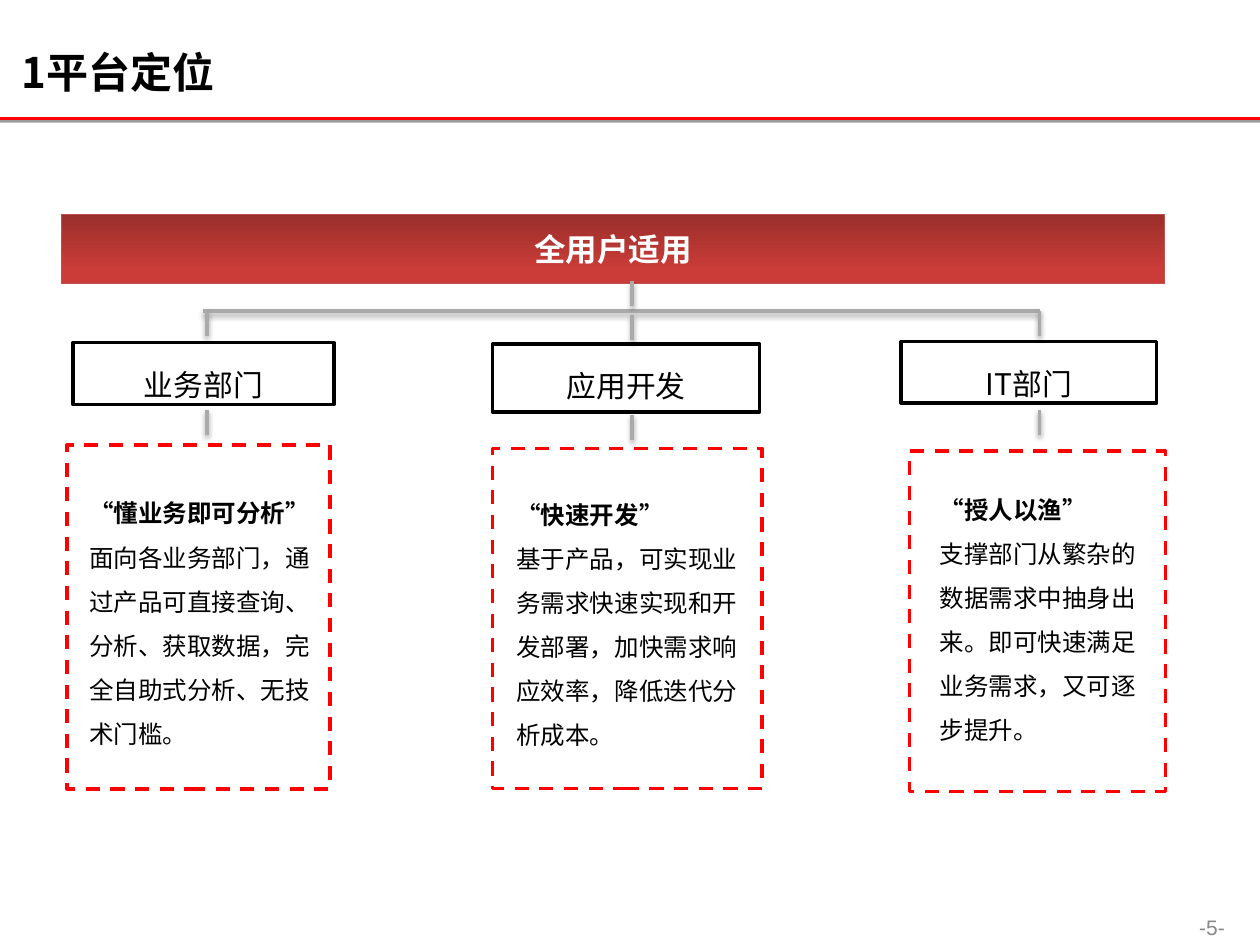
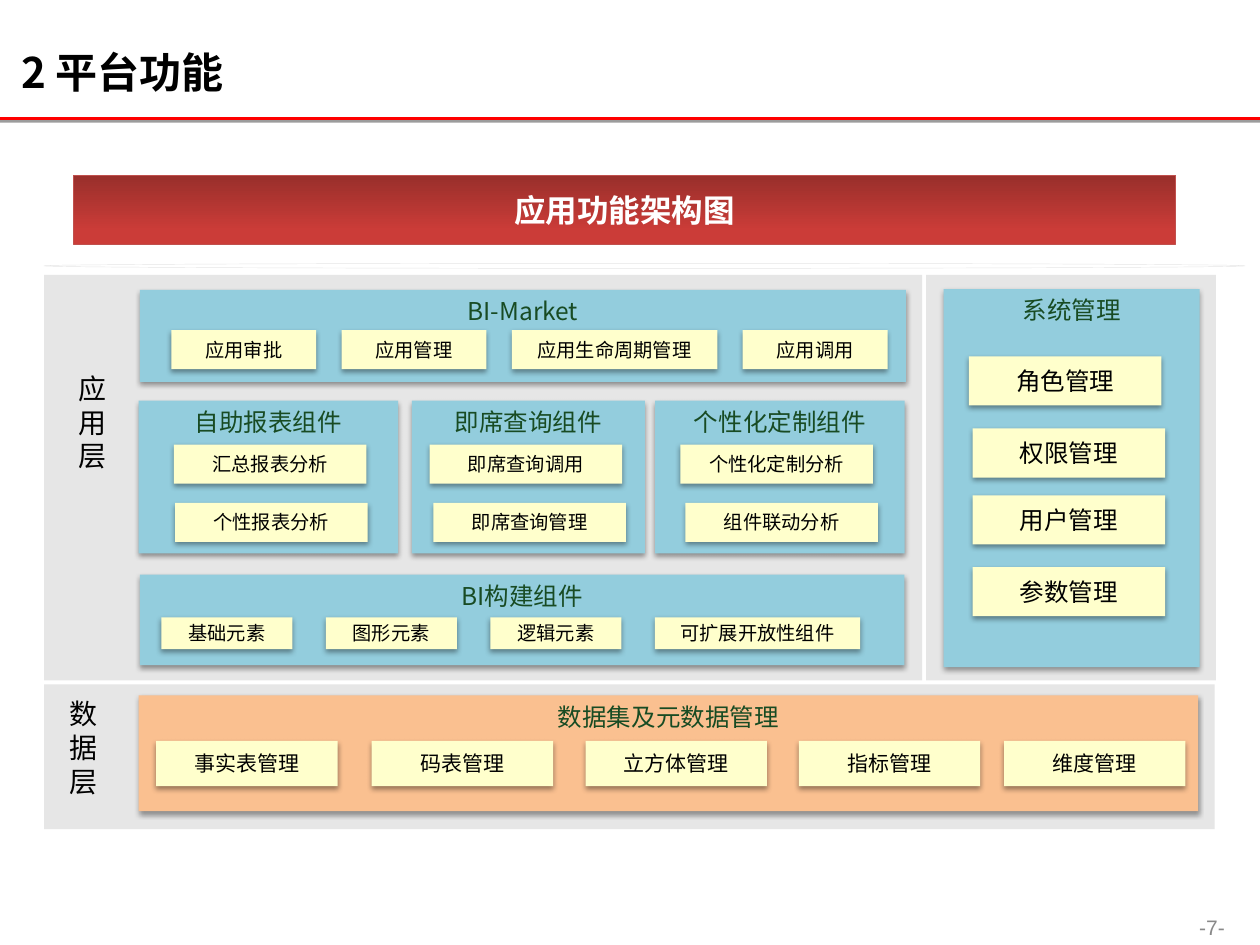
import pptx
import pptx.dml.color
import pptx.enum.dml
import pptx.enum.shapes
import pptx.enum.text
import pptx.oxml.ns
import pptx.util
from lxml import etree

Pt = pptx.util.Pt
qn = pptx.oxml.ns.qn
ALIGN = pptx.enum.text.PP_ALIGN
ANCHOR = pptx.enum.text.MSO_ANCHOR
PRESET = pptx.enum.shapes.MSO_SHAPE

RED, BLACK, WHITE, GREEN = "FF0000", "000000", "FFFFFF", "184B23"
GREY_LINE, GREY_TEXT, PANEL = "AAAAAA", "898989", "E6E6E6"
BLUE, ORANGE, CREAM = "93CDDD", "FAC090", "FFFFCC"
# Shadows: opacity in percent, blur, distance
BOX_SHADOW, LINK_SHADOW, RULE_SHADOW = (38, 3.1, 1.6), (35, 3.1, 1.8), (38, 0, 1.6)


def rgb(hex_value):
    return pptx.dml.color.RGBColor.from_string(hex_value)


class Deck:
    """Holds the shared style and the slide being drawn."""

    font = "Noto Sans CJK SC"

    def __init__(self):
        self.prs = pptx.Presentation()
        self.prs.slide_width, self.prs.slide_height = Pt(720), Pt(540)
        self.slide = None

    def new_slide(self, title, page):
        self.slide = self.prs.slides.add_slide(self.prs.slide_layouts[5])
        self.line(0, 67.7, 720, 67.7, RED, 1.5, RULE_SHADOW)
        self.text(f"-{page}-", (666.7, 519.1, 51.8, 20.9), 12, GREY_TEXT,
                  align=ALIGN.CENTER, anchor=ANCHOR.MIDDLE, font="Arial")
        heading = self.slide.shapes.title
        heading.left, heading.top, heading.width, heading.height = map(
            Pt, (5, 20.9, 686.9, 40.3))
        self.label(heading, title, 24, BLACK, True, ALIGN.LEFT, ANCHOR.MIDDLE)

    def label(self, shape, text, size, color, bold=False, align=ALIGN.CENTER,
              anchor=ANCHOR.TOP, spacing=None, font=None):
        frame = shape.text_frame
        frame.text = text
        frame.word_wrap = True
        frame.auto_size = pptx.enum.text.MSO_AUTO_SIZE.NONE
        frame.vertical_anchor = anchor
        for paragraph in frame.paragraphs:
            paragraph.alignment = align
            if spacing:
                paragraph.line_spacing = spacing
            for run in paragraph.runs:
                run.font.size, run.font.bold = Pt(size), bold
                run.font.color.rgb = rgb(color)
                run.font.name = font or self.font
                # East Asian typeface sits right after the Latin one
                east_asian = etree.Element(qn("a:ea"), typeface=font or self.font)
                run._r.get_or_add_rPr().find(qn("a:latin")).addnext(east_asian)

    def text(self, text, box, size, color, **style):
        shape = self.slide.shapes.add_textbox(*map(Pt, box))
        self.label(shape, text, size, color, **style)
        return shape

    def box(self, box, fill=None, line=None, width=2, shadow=None, dashed=False,
            preset=PRESET.RECTANGLE):
        shape = self.slide.shapes.add_shape(preset, *map(Pt, box))
        if fill:
            shape.fill.solid()
            shape.fill.fore_color.rgb = rgb(fill)
        else:
            shape.fill.background()
        if line:
            shape.line.color.rgb = rgb(line)
            shape.line.width = Pt(width)
        else:
            shape.line.fill.background()
        if dashed:
            shape.line.dash_style = pptx.enum.dml.MSO_LINE.DASH
        shape.shadow.inherit = False
        if shadow:
            self.cast(shape._element.spPr.find(qn("a:effectLst")), shadow)
        return shape

    def line(self, x1, y1, x2, y2, color=GREY_LINE, width=2.25, shadow=LINK_SHADOW):
        link = self.slide.shapes.add_connector(
            pptx.enum.shapes.MSO_CONNECTOR.STRAIGHT, *map(Pt, (x1, y1, x2, y2)))
        link.line.color.rgb = rgb(color)
        link.line.width = Pt(width)
        self.cast(etree.SubElement(link._element.spPr, qn("a:effectLst")), shadow)

    def cast(self, effects, shadow):
        opacity, blur, distance = shadow
        outer = etree.SubElement(
            effects, qn("a:outerShdw"), blurRad=str(Pt(blur)), dist=str(Pt(distance)),
            dir="5400000", rotWithShape="0")
        color = etree.SubElement(outer, qn("a:srgbClr"), val=BLACK)
        etree.SubElement(color, qn("a:alpha"), val=str(opacity * 1000))

    def banner(self, text, left, top):
        shape = self.box((left, top, 630, 39.6), RED, "C0504D", 0.75)
        shape.fill.gradient()
        shape.fill.gradient_angle = 270
        for stop, (place, color) in zip(shape.fill.gradient_stops,
                                        ((0, "992F2B"), (0.8, "CB3C38"))):
            stop.position, stop.color.rgb = place, rgb(color)
        self.label(shape, text, 18, WHITE, True, anchor=ANCHOR.MIDDLE)

    def component(self, title, box, fill, size, height, functions):
        """A titled block with its function boxes, each (text, x, y, width)."""
        self.label(self.box(box, fill, shadow=BOX_SHADOW), title, 14, GREEN)
        for name, x, y, width in functions:
            shape = self.box((x, y, width, height), CREAM, shadow=BOX_SHADOW)
            self.label(shape, name, size, BLACK, anchor=ANCHOR.MIDDLE)


def row(left, top, gap, *functions):
    """Places (text, width) pairs side by side with an equal gap."""
    placed = []
    for name, width in functions:
        placed.append((name, left, top, width))
        left += width + gap
    return placed


def positioning(deck):
    deck.new_slide("1平台定位", 5)
    # Departments: name, name box, dashed frame, text box, slogan, description
    departments = [
        ("业务部门", (41.8, 195.8, 149, 35.3), (38.2, 254.2, 150.5, 196.6),
         (43.9, 272.9, 148.3, 160), "“懂业务即可分析”",
         "面向各业务部门，通过产品可直接查询、分析、获取数据，完全自助式分析、无技术门槛。"),
        ("应用开发", (281.5, 196.6, 152.6, 38.9), (281.5, 256.3, 154.1, 194.4),
         (288, 273.6, 147.6, 160), "“快速开发”",
         "基于产品，可实现业务需求快速实现和开发部署，加快需求响应效率，降低迭代分析成本。"),
        ("IT部门", (514.8, 195.1, 146.2, 35.3), (519.8, 257.8, 146.2, 194.4),
         (529.9, 270.7, 127.4, 185), "“授人以渔”",
         "支撑部门从繁杂的数据需求中抽身出来。即可快速满足业务需求，又可逐步提升。"),
    ]
    for name, name_box, frame, text_box, slogan, description in departments:
        deck.label(deck.box(name_box, WHITE, BLACK), name, 17, BLACK, spacing=Pt(30.6))
        deck.box(frame, line=RED, dashed=True)
        body = deck.text(f"{slogan}\n{description}", text_box, 14, BLACK,
                         align=ALIGN.LEFT, spacing=1.5)
        body.text_frame.paragraphs[0].runs[0].font.bold = True

    deck.banner("全用户适用", 35.3, 122.4)

    # Tree below the banner: one bar and short vertical links
    deck.line(115.9, 177.8, 594, 177.8)
    for x, top in ((361.4, 160.6), (118.1, 177.8), (361.4, 180), (594, 177.8),
                   (118.1, 234), (361.4, 236.9), (594, 234)):
        deck.line(x, top, x, top + 14.4)


def functions(deck):
    deck.new_slide("2 平台功能", 7)
    # Layer panels and their names
    for panel in ((25.2, 157, 501.8, 231.8), (529.2, 157, 165.6, 231.8),
                  (25.2, 391, 668.9, 82.8)):
        deck.box(panel, PANEL)
    for layer, box in (("应用 层", (31, 190.8, 43.2, 82.8)),
                       ("数据层", (31, 381.6, 33.8, 77.8))):
        deck.text(layer, box, 16, BLACK, align=ALIGN.CENTER, anchor=ANCHOR.BOTTOM)

    # Application layer
    deck.component("BI-Market", (79.9, 165.6, 437.8, 52.6), BLUE, 11, 22.3, row(
        97.9, 188.6, 14.5, ("应用审批", 82.8), ("应用管理", 82.8),
        ("应用生命周期管理", 117.4), ("应用调用", 82.8)))
    for title, left, width, upper, lower in (
            ("自助报表组件", 79.2, 148.3, ("汇总报表分析", 99.4), ("个性报表分析", 100.1)),
            ("即席查询组件", 235.4, 133.2, ("即席查询调用", 245.5), ("即席查询管理", 247.7)),
            ("个性化定制组件", 374.4, 142.6, ("个性化定制分析", 388.8), ("组件联动分析", 391.7))):
        deck.component(title, (left, 229, width, 87.3), BLUE, 11, 22.3,
                       [(*upper, 254, 110), (*lower, 287.3, 110)])
    deck.component("BI构建组件", (79.9, 328.3, 437, 51.8), BLUE, 11, 18.2, row(
        92.2, 352.8, 19.1, ("基础元素", 74.9), ("图形元素", 74.9),
        ("逻辑元素", 74.9), ("可扩展开放性组件", 117.4)))

    # System management
    deck.component("系统管理", (539.3, 165.2, 146.2, 216), BLUE, 14, 28.1, [
        ("角色管理", 553.7, 203.6, 110), ("权限管理", 555.8, 244.8, 110),
        ("用户管理", 555.8, 283, 110), ("参数管理", 555.8, 324, 110)])

    # Data layer
    tables = (("事实表管理", 89.3), ("码表管理", 212.4), ("立方体管理", 334.6),
              ("指标管理", 456.5), ("维度管理", 573.8))
    deck.component("数据集及元数据管理", (79.2, 397.4, 605.5, 66.2), ORANGE, 12, 25.9,
                   [(name, x, 423.4, 103.7) for name, x in tables])

    deck.box((25.2, 150.5, 686.2, 2.9), WHITE, PANEL, 0.25, preset=PRESET.OVAL)
    deck.banner("应用功能架构图", 41.8, 100.1)


def main():
    deck = Deck()
    positioning(deck)
    functions(deck)
    deck.prs.save("out.pptx")


if __name__ == "__main__":
    main()
